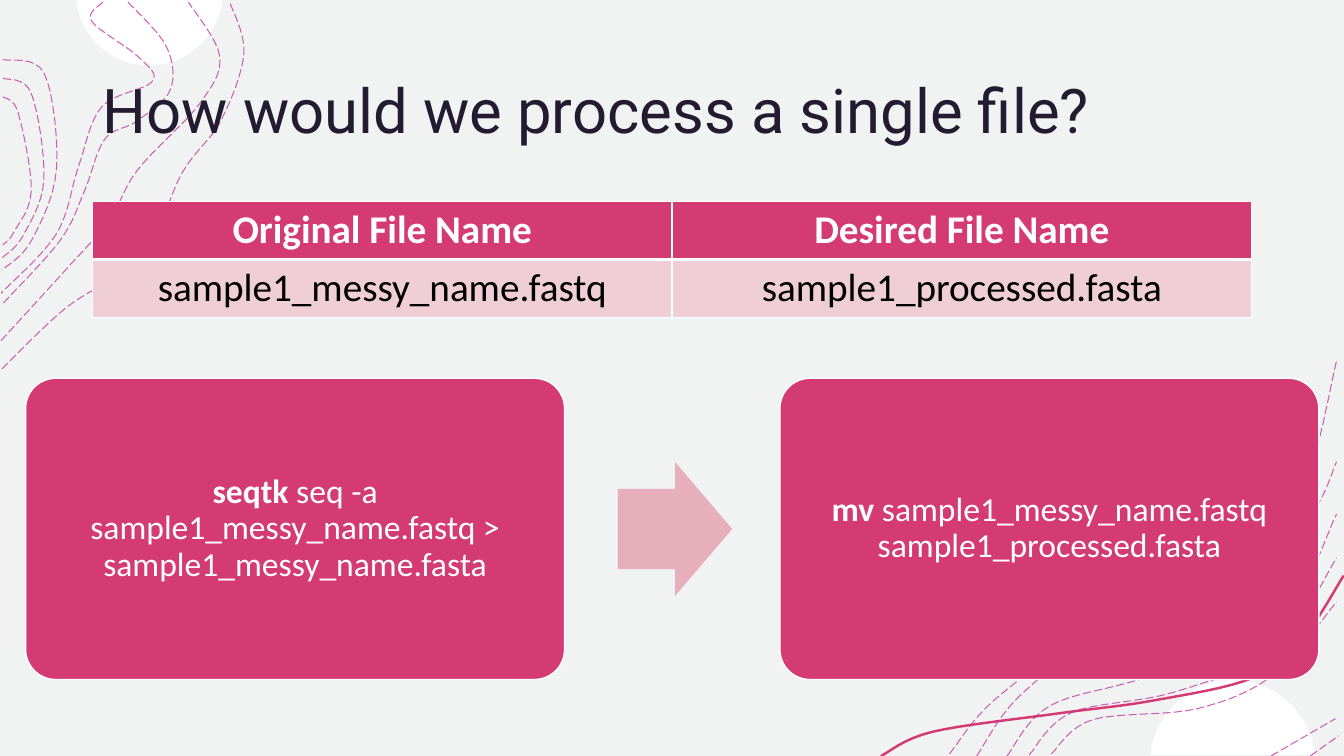
from math import cos, pi, sin

from lxml.etree import SubElement
from pptx import Presentation
from pptx.dml.color import RGBColor
from pptx.enum.dml import MSO_LINE
from pptx.enum.shapes import MSO_SHAPE
from pptx.enum.text import MSO_ANCHOR, MSO_AUTO_SIZE, PP_ALIGN
from pptx.oxml import parse_xml
from pptx.oxml.ns import nsdecls, qn
from pptx.util import Pt

PAPER = RGBColor(0xF0, 0xF3, 0xF2)
WHITE = RGBColor(0xFF, 0xFF, 0xFF)
BLACK = RGBColor(0x00, 0x00, 0x00)
INK = RGBColor(0x23, 0x1B, 0x31)
ROSE = RGBColor(0xD5, 0x3B, 0x73)
BLUSH = RGBColor(0xE7, 0xAF, 0xBC)
PALE = RGBColor(0xEF, 0xCE, 0xD5)
MAGENTA = RGBColor(0xC3, 0x29, 0xA2)

GRID = 0.72
CURVE_STEPS = 8

CONTOUR_FAMILIES = [
    (2, [(2, 366), (66, 305), (141, 254), (181, 171), (219, 120), (242, 53), (228, 2)],
     [(1, 338), (64, 269), (108, 219), (137, 168), (198, 103), (218, 56), (187, 2)]),
    (2, [(127, 2), (165, 46), (169, 89), (136, 120), (104, 138), (84, 189), (60, 238), (3, 301)],
     [(102, 2), (91, 21), (138, 57), (151, 81), (101, 106), (78, 165), (56, 232), (1, 291)]),
    (3, [(3, 59), (44, 73), (56, 168), (31, 239), (2, 268)],
     [(3, 96), (18, 112), (31, 189), (14, 230), (3, 243)]),
    (2, [(942, 748), (986, 695), (1078, 630), (1137, 629), (1224, 585), (1291, 493), (1326, 358)],
     [(969, 750), (1008, 694), (1075, 645), (1145, 641), (1233, 592), (1301, 511), (1326, 458)]),
    (3, [(1043, 748), (1084, 714), (1188, 703), (1264, 669), (1326, 597)],
     [(999, 750), (1042, 700), (1143, 670), (1268, 617), (1326, 510)]),
    (2, [(1300, 750), (1328, 730)], [(1261, 750), (1325, 713)]),
]
WAVE = [(874, 750), (925, 726), (1048, 708), (1144, 695), (1244, 672), (1294, 631), (1333, 571)]
FILE_NAMES = [["Original File Name", "Desired File Name"],
              ["sample1_messy_name.fastq", "sample1_processed.fasta"]]
COMMANDS = [("seqtk", " seq -a sample1_messy_name.fastq > sample1_messy_name.fasta"),
            ("mv", " sample1_messy_name.fastq sample1_processed.fasta")]


def blend(first, last, share):
    """Return anchors part of the way from one curve to another."""
    return [tuple(a + share * (b - a) for a, b in zip(start, end))
            for start, end in zip(first, last)]


def smooth_curve(anchors):
    """Return points on a Catmull-Rom curve through the anchors."""
    padded = [anchors[0], *anchors, anchors[-1]]
    points = [anchors[0]]
    for corners in zip(padded, padded[1:], padded[2:], padded[3:]):
        for step in range(1, CURVE_STEPS + 1):
            t = step / CURVE_STEPS
            points.append(tuple(
                b + t * (c - a + t * (2 * a - 5 * b + 4 * c - d + t * (3 * b - a - 3 * c + d))) / 2
                for a, b, c, d in zip(*corners)))
    return points


def arc(x, y, radius, first, last, steps=40):
    """Return points along a circular arc between two angles."""
    angles = [first + (last - first) * step / steps for step in range(steps + 1)]
    return [(x + radius * cos(angle), y + radius * sin(angle)) for angle in angles]


class SlideBuilder:
    """Holds the style and the current slide."""

    body_font = "Calibri"
    title_font = "Roboto"

    def __init__(self, deck):
        """Add a title-only slide with the paper background."""
        self.page = deck.slides.add_slide(deck.slide_layouts[5])
        self.page.background.fill.solid()
        self.page.background.fill.fore_color.rgb = PAPER

    def style(self, span, size, color, bold=False, font=None):
        """Format one run."""
        span.font.name = font or self.body_font
        span.font.size = Pt(size)
        span.font.bold = bold
        span.font.color.rgb = color

    def title(self, text, left, top, width, height):
        """Place the title in front of the decoration."""
        box = self.page.shapes.title
        box.left, box.top, box.width, box.height = map(Pt, (left, top, width, height))
        frame = box.text_frame
        frame.text = text
        frame.auto_size = MSO_AUTO_SIZE.NONE
        frame.vertical_anchor = MSO_ANCHOR.MIDDLE
        para = frame.paragraphs[0]
        para.alignment = PP_ALIGN.LEFT
        para.line_spacing = 0.9
        self.style(para.runs[0], 44, INK, font=self.title_font)
        box.element.getparent().append(box.element)

    def outline(self, points, close):
        """Draw a freeform through points on the decoration grid."""
        places = [(Pt(GRID * x), Pt(GRID * y)) for x, y in points]
        builder = self.page.shapes.build_freeform(*places[0])
        builder.add_line_segments(places[1:], close=close)
        shape = builder.convert_to_shape()
        shape.shadow.inherit = False
        return shape

    def patch(self, points, color):
        """Draw a filled outline."""
        shape = self.outline(points, True)
        shape.fill.solid()
        shape.fill.fore_color.rgb = color
        shape.line.fill.background()

    def curve(self, anchors, color, width):
        """Draw a smooth open curve."""
        shape = self.outline(smooth_curve(anchors), False)
        shape.fill.background()
        shape.line.color.rgb = color
        shape.line.width = Pt(width)
        return shape

    def contour(self, anchors):
        """Draw a translucent dashed curve."""
        shape = self.curve(anchors, MAGENTA, 0.75)
        shape.line.dash_style = MSO_LINE.LONG_DASH
        color = shape.element.spPr.find(qn("a:ln")).find(".//" + qn("a:srgbClr"))
        SubElement(color, qn("a:alpha"), val="75000")

    def preset(self, kind, left, top, width, height, color, adjustments):
        """Draw a filled preset shape without a line."""
        shape = self.page.shapes.add_shape(kind, *map(Pt, (left, top, width, height)))
        shape.shadow.inherit = False
        shape.fill.solid()
        shape.fill.fore_color.rgb = color
        shape.line.fill.background()
        for index, value in enumerate(adjustments):
            shape.adjustments[index] = value
        return shape

    def command_card(self, left, top, width, height, command, arguments):
        """Draw a rounded card with a command and its arguments."""
        card = self.preset(MSO_SHAPE.ROUNDED_RECTANGLE, left, top, width, height, ROSE, [0.1])
        card.line.color.rgb = WHITE
        card.line.width = Pt(1)
        frame = card.text_frame
        frame.word_wrap = True
        frame.vertical_anchor = MSO_ANCHOR.MIDDLE
        frame.margin_left = frame.margin_right = frame.margin_top = frame.margin_bottom = Pt(7.2)
        para = frame.paragraphs[0]
        para.alignment = PP_ALIGN.CENTER
        para.line_spacing = 0.9
        for text, bold in ((command, True), (arguments, False)):
            span = para.add_run()
            span.text = text
            self.style(span, 24, WHITE, bold)

    def table(self, rows, left, top, width, row_height):
        """Draw a table with a header row and white rules."""
        frame = self.page.shapes.add_table(
            len(rows), len(rows[0]), *map(Pt, (left, top, width, row_height * len(rows))))
        grid = frame.table
        grid.horz_banding = False
        for row_index, texts in enumerate(rows):
            header = row_index == 0
            grid.rows[row_index].height = Pt(row_height)
            for column_index, text in enumerate(texts):
                cell = grid.cell(row_index, column_index)
                cell.text = text
                cell.fill.solid()
                cell.fill.fore_color.rgb = ROSE if header else PALE
                para = cell.text_frame.paragraphs[0]
                para.alignment = PP_ALIGN.CENTER
                self.style(para.runs[0], 28, WHITE if header else BLACK, header)
                self.rules(cell, (1, 1, 1, 3) if header else (1, 1, 3, 1))

    def rules(self, cell, widths):
        """Set the left, right, top and bottom borders of a cell."""
        properties = cell._tc.get_or_add_tcPr()
        for index, (side, width) in enumerate(zip("LRTB", widths)):
            properties.insert(index, parse_xml(
                f'<a:ln{side} {nsdecls("a")} w="{Pt(width)}"><a:solidFill>'
                f'<a:srgbClr val="{WHITE}"/></a:solidFill></a:ln{side}>'))


def main():
    """Build and save the slide."""
    deck = Presentation()
    deck.slide_width, deck.slide_height = Pt(960), Pt(540)
    slide = SlideBuilder(deck)
    slide.patch(arc(148, -8, 73, 0.11, pi - 0.11), WHITE)
    slide.patch(arc(1223, 757, 82, pi + 0.1, 2 * pi - 0.1), WHITE)
    slide.curve(WAVE, ROSE, 1.75)
    for count, first, last in CONTOUR_FAMILIES:
        for index in range(count):
            slide.contour(blend(first, last, index / (count - 1)))
    slide.title("How would we process a single file?", 66, 28.75, 828, 104.4)
    slide.table(FILE_NAMES, 66, 144, 828, 40.8)
    for index, (command, arguments) in enumerate(COMMANDS):
        slide.command_card(18.3 + 538.8 * index, 270.2, 385, 215.2, command, arguments)
    slide.preset(MSO_SHAPE.RIGHT_ARROW, 441.4, 330, 81.6, 95.6, BLUSH, [0.6, 0.5])
    deck.save("out.pptx")


if __name__ == "__main__":
    main()
